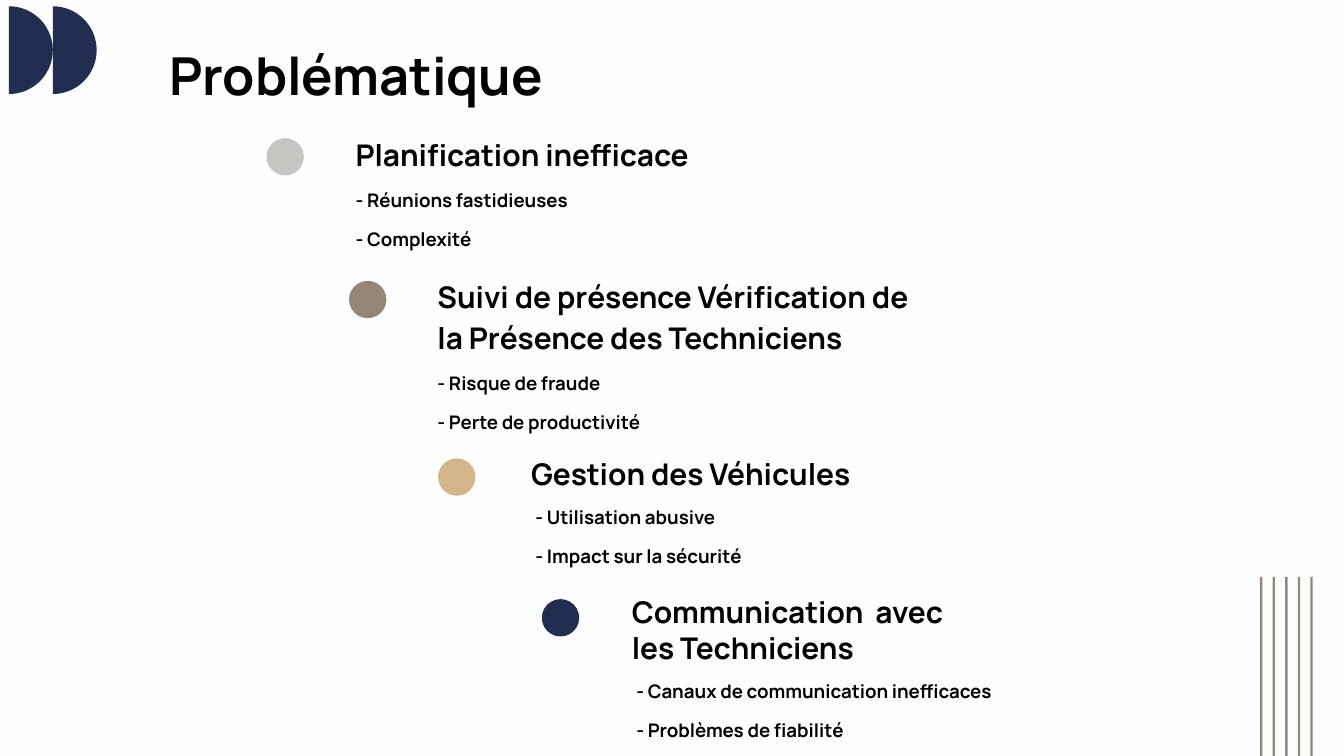
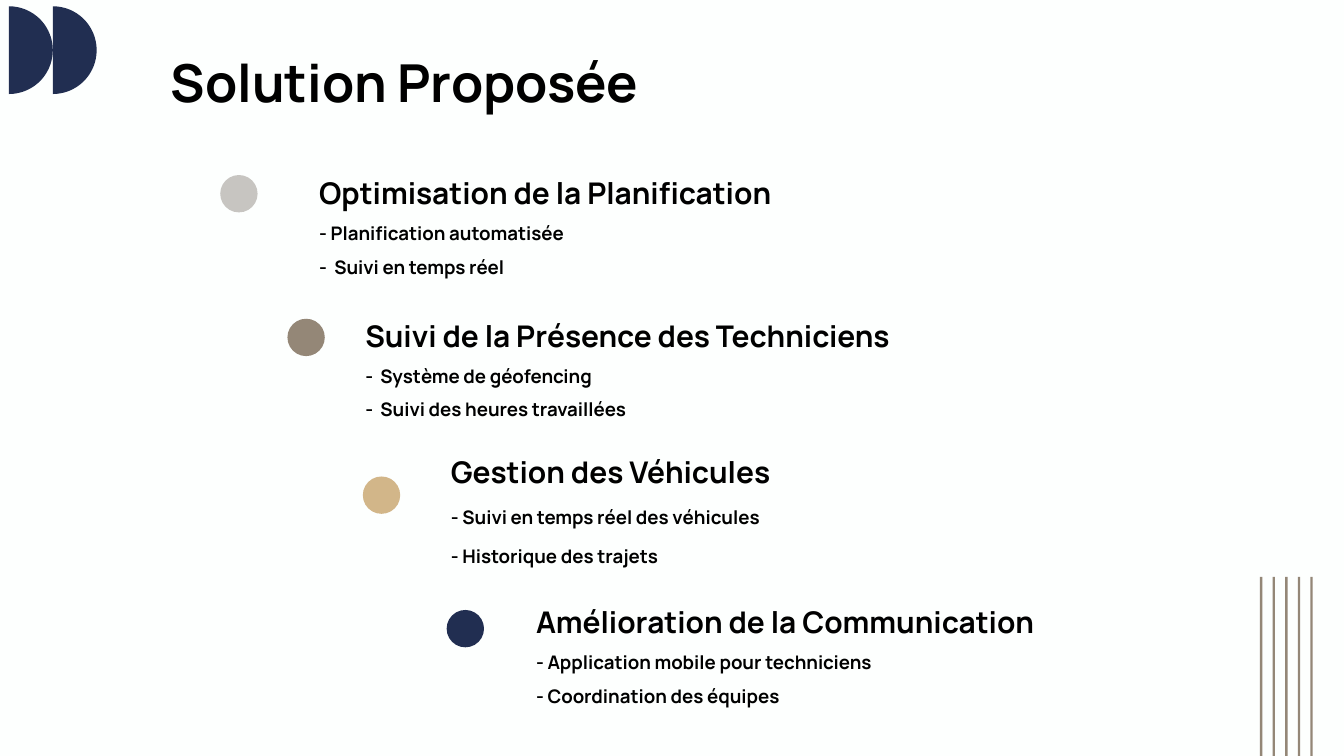
from dataclasses import dataclass
from math import cos, pi, sin

from pptx import Presentation
from pptx.dml.color import RGBColor
from pptx.enum.shapes import MSO_SHAPE as SHAPE
from pptx.enum.text import MSO_ANCHOR as ANCHOR
from pptx.util import Pt

COLORS = {"back": "FDFFFE", "text": "000000", "navy": "212E51",
          "taupe": "948777", "sand": "D2B689", "grey": "C7C5C1"}
DOT_COLORS = ["grey", "taupe", "sand", "navy"]
FONT = "Manrope"
WIDTH, HEIGHT = 720, 405
DOT = 20
INSET = 7.2


def rgb(name):
    return RGBColor.from_string(COLORS[name])


@dataclass
class Topic:
    dot: tuple
    box: tuple
    heading: list
    points: list
    indents: tuple = (12, 12)      # heading, points
    spacings: tuple = (1.15, 1.15)  # heading, points
    gaps: tuple = (7, 7)           # before the first point, before the next
    anchor: ANCHOR = ANCHOR.BOTTOM
    inset_y: float = INSET


class Deck:
    def __init__(self):
        self.prs = Presentation()
        self.prs.slide_width, self.prs.slide_height = Pt(WIDTH), Pt(HEIGHT)
        self.s = None

    def paint(self, sp, color):
        sp.fill.solid()
        sp.fill.fore_color.rgb = rgb(color)
        sp.line.fill.background()
        sp.shadow.inherit = False

    def shape(self, kind, x, y, w, h, color):
        self.paint(self.s.shapes.add_shape(kind, Pt(x), Pt(y), Pt(w), Pt(h)), color)

    def half_disc(self, x, y, radius, color, steps=60):
        """Half disc with its flat side on the left at x."""
        angles = [pi * i / steps - pi / 2 for i in range(steps + 1)]
        arc = [(Pt(x + radius * cos(a)), Pt(y + radius + radius * sin(a))) for a in angles]
        outline = self.s.shapes.build_freeform(*arc[0])
        outline.add_line_segments(arc[1:], close=True)
        self.paint(outline.convert_to_shape(), color)

    def text(self, box, lines, anchor=ANCHOR.TOP, inset_y=INSET):
        """Each line is (text, size, indent, spacing, gap before)."""
        tf = self.s.shapes.add_textbox(*map(Pt, box)).text_frame
        frame = {"word_wrap": True, "vertical_anchor": anchor,
                 "margin_left": Pt(INSET), "margin_right": Pt(INSET),
                 "margin_top": Pt(inset_y), "margin_bottom": Pt(inset_y)}
        for name, value in frame.items():
            setattr(tf, name, value)
        for i, (text, size, indent, spacing, gap) in enumerate(lines):
            p = tf.add_paragraph() if i else tf.paragraphs[0]
            if indent:
                p._p.get_or_add_pPr().set("marL", str(Pt(indent)))
            p.line_spacing = spacing
            if gap:
                p.space_before = Pt(gap)
            r = p.add_run()
            r.text = text
            for name, value in {"name": FONT, "size": Pt(size), "bold": True}.items():
                setattr(r.font, name, value)
            r.font.color.rgb = rgb("text")

    def new_slide(self, title, box):
        self.s = self.prs.slides.add_slide(self.prs.slide_layouts[6])
        fill = self.s.background.fill
        fill.solid()
        fill.fore_color.rgb = rgb("back")
        for i in range(2):
            self.half_disc(4.8 + 23.5 * i, 3.4, 23.5, "navy")
        for i in range(5):
            self.shape(SHAPE.RECTANGLE, 675 + 6.75 * i, 309, 1.3, HEIGHT - 309, "taupe")
        self.text(box, [(title, 28, 0, 1, 0)])

    def topic(self, t, color):
        self.shape(SHAPE.OVAL, *t.dot, DOT, DOT, color)
        lines = [(h, 16, t.indents[0], t.spacings[0], 0) for h in t.heading]
        lines += [(point, 10, t.indents[1], t.spacings[1], gap)
                  for point, gap in zip(t.points, t.gaps)]
        self.text(t.box, lines, t.anchor, t.inset_y)


PLAIN = {"spacings": (1, 1), "gaps": (6, 6)}
MIXED = {"indents": (9.6, 12), "spacings": (1, 1.15), "gaps": (6, 7)}

SLIDES = [
    ("Problématique", (83.5, 15.8, 226.8, 45.4), [
        Topic((142.8, 74), (171.4, 84.2, 278, 57), ["Planification inefficace"],
              ["- Réunions fastidieuses", "- Complexité"]),
        Topic((187, 150.5), (215.3, 154.1, 288.7, 85),
              ["Suivi de présence Vérification de la Présence des Techniciens"],
              ["- Risque de fraude", "- Perte de productivité"]),
        Topic((234.7, 245.6), (267.8, 247, 278, 64), ["Gestion des Véhicules"],
              ["- Utilisation abusive", "- Impact sur la sécurité"], **MIXED),
        Topic((290.3, 321), (321.8, 314.6, 353.5, 85.7),
              ["Communication  avec", "les Techniciens"],
              ["- Canaux de communication inefficaces", "- Problèmes de fiabilité"],
              anchor=ANCHOR.TOP, inset_y=3.6, **MIXED),
    ]),
    ("Solution Proposée", (84.5, 19.5, 275, 45.4), [
        Topic((118, 93.8), (151.9, 92.2, 278, 64), ["Optimisation de la Planification"],
              ["- Planification automatisée", "-  Suivi en temps réel"], **PLAIN),
        Topic((154, 170.8), (188.6, 168.5, 309, 64),
              ["Suivi de la Présence des Techniciens"],
              ["-  Système de géofencing", "-  Suivi des heures travaillées"],
              indents=(0, 0), **PLAIN),
        Topic((194.4, 255.3), (222.5, 252.7, 278, 58.3), ["Gestion des Véhicules"],
              ["- Suivi en temps réel des véhicules", "- Historique des trajets"]),
        Topic((239.3, 326.8), (280.1, 337, 302.4, 49), ["Amélioration de la Communication"],
              ["- Application mobile pour techniciens", "- Coordination des équipes"],
              indents=(0, 0), **PLAIN),
    ]),
]


def main():
    deck = Deck()
    for title, box, topics in SLIDES:
        deck.new_slide(title, box)
        for topic, color in zip(topics, DOT_COLORS):
            deck.topic(topic, color)
    deck.prs.save("out.pptx")


if __name__ == "__main__":
    main()
